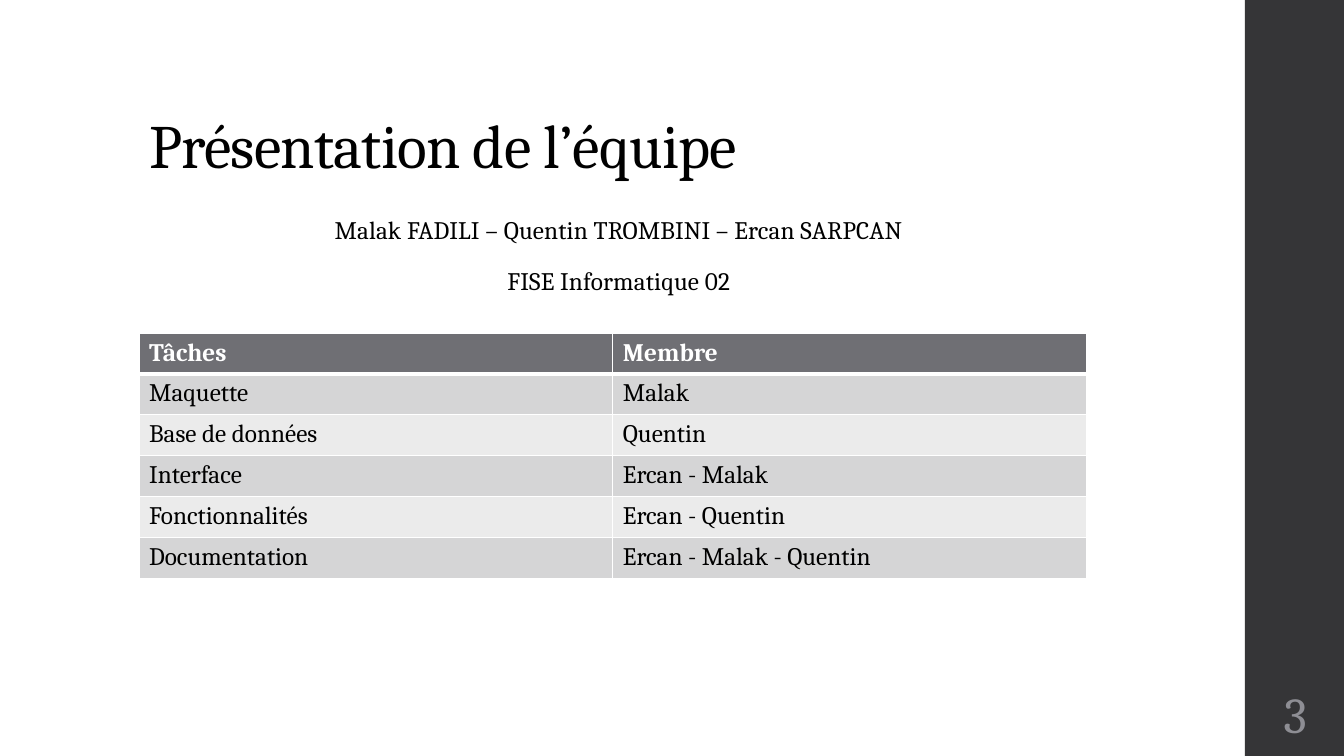
from lxml import etree
from pptx import Presentation
from pptx.dml.color import RGBColor
from pptx.enum.shapes import MSO_SHAPE
from pptx.enum.text import MSO_ANCHOR, MSO_AUTO_SIZE, PP_ALIGN
from pptx.oxml.ns import qn
from pptx.util import Pt

RECTANGLE = MSO_SHAPE.RECTANGLE
BOTTOM, MIDDLE = MSO_ANCHOR.BOTTOM, MSO_ANCHOR.MIDDLE
LEFT, CENTER = PP_ALIGN.LEFT, PP_ALIGN.CENTER
NO_AUTOFIT = MSO_AUTO_SIZE.NONE

FONT = "Cambria"
COLORS = {
    "sidebar": "353537",
    "text": "000000",
    "white": "FFFFFF",
    "header": "6F6F74",
    "odd_row": "D5D5D6",
    "even_row": "EBEBEB",
    "number": "8E8E94",
}
TEAM = ["Malak FADILI – Quentin TROMBINI – Ercan SARPCAN", "FISE Informatique 02"]
TASKS = [
    ("Tâches", "Membre"),
    ("Maquette", "Malak"),
    ("Base de données", "Quentin"),
    ("Interface", "Ercan - Malak"),
    ("Fonctionnalités", "Ercan - Quentin"),
    ("Documentation", "Ercan - Malak - Quentin"),
]
HEADER_HEIGHT, ROW_HEIGHT = 20.88, 29.2


def color(name):
    """Return the named colour."""
    return RGBColor.from_string(COLORS[name])


def to_points(box):
    """Convert left, top, width and height to lengths."""
    return [Pt(value) for value in box]


def add_run(para, text, size, color_name="text", bold=False, tracking=0):
    """Add a formatted run, with tracking in points."""
    span = para.add_run()
    span.text = text
    span.font.name = FONT
    span.font.size = Pt(size)
    span.font.bold = bold
    span.font.color.rgb = color(color_name)
    if tracking:
        span._r.get_or_add_rPr().set("spc", str(round(tracking * 100)))


def add_border(cell, side, width):
    """Add a white border to one side of a cell."""
    line = etree.SubElement(
        cell._tc.get_or_add_tcPr(), qn(f"a:ln{side}"), w=str(Pt(width)))
    fill = etree.SubElement(line, qn("a:solidFill"))
    etree.SubElement(fill, qn("a:srgbClr"), val=COLORS["white"])


def build_sidebar(page, box):
    """Draw the dark band with the page number near its foot."""
    left, top, width, height = box
    band = page.shapes.add_shape(RECTANGLE, *to_points(box))
    band.shadow.inherit = False
    band.fill.solid()
    band.fill.fore_color.rgb = color("sidebar")
    band.line.fill.background()

    number_box = left, top + height - 54, width, 46.8
    frame = page.shapes.add_textbox(*to_points(number_box)).text_frame
    frame.word_wrap = True
    frame.vertical_anchor = MIDDLE
    frame.margin_left = frame.margin_right = Pt(3.6)
    para = frame.paragraphs[0]
    para.alignment = CENTER
    add_run(para, "3", 36, "number")


def build_title(page, box):
    """Place and format the title placeholder."""
    title = page.shapes.title
    title.left, title.top, title.width, title.height = to_points(box)
    frame = title.text_frame
    frame.word_wrap = True
    frame.auto_size = NO_AUTOFIT
    frame.vertical_anchor = BOTTOM
    para = frame.paragraphs[0]
    para.alignment = LEFT
    para.line_spacing = 0.9
    add_run(para, "Présentation de l’équipe", 44, tracking=-0.5)


def build_team(page, box):
    """Write the centred lines that introduce the team."""
    frame = page.shapes.add_textbox(*to_points(box)).text_frame
    frame.word_wrap = True
    for index, text in enumerate(TEAM):
        para = frame.add_paragraph() if index else frame.paragraphs[0]
        para.alignment = CENTER
        para.line_spacing = 0.95
        para.space_before = Pt(14)
        para.space_after = Pt(2)
        add_run(para, text, 18, tracking=0.1)


def build_tasks(page, box):
    """Build the banded table of tasks and members."""
    table = page.shapes.add_table(
        len(TASKS), len(TASKS[0]), *to_points(box)).table
    for row_index, texts in enumerate(TASKS):
        is_header = row_index == 0
        table.rows[row_index].height = Pt(HEADER_HEIGHT if is_header else ROW_HEIGHT)
        band = "odd_row" if row_index % 2 else "even_row"
        for column_index, text in enumerate(texts):
            cell = table.cell(row_index, column_index)
            for side in "LRTB":
                thick = (is_header and side == "B") or (row_index == 1 and side == "T")
                add_border(cell, side, 3 if thick else 1)
            cell.fill.solid()
            cell.fill.fore_color.rgb = color("header" if is_header else band)
            add_run(cell.text_frame.paragraphs[0], text, 18,
                    "white" if is_header else "text", bold=is_header)


def main():
    """Build the team slide and save the deck."""
    deck = Presentation()
    deck.slide_width, deck.slide_height = Pt(960), Pt(540)
    page = deck.slides.add_slide(deck.slide_layouts[5])
    build_sidebar(page, (889.2, 0, 72, 540))
    build_title(page, (99.36, 28.8, 763.2, 104.4))
    build_tasks(page, (99.36, 238.32, 676.8, HEADER_HEIGHT + 5 * ROW_HEIGHT))
    build_team(page, (99.36, 151.2, 685.44, 303.84))
    deck.save("out.pptx")


main()
